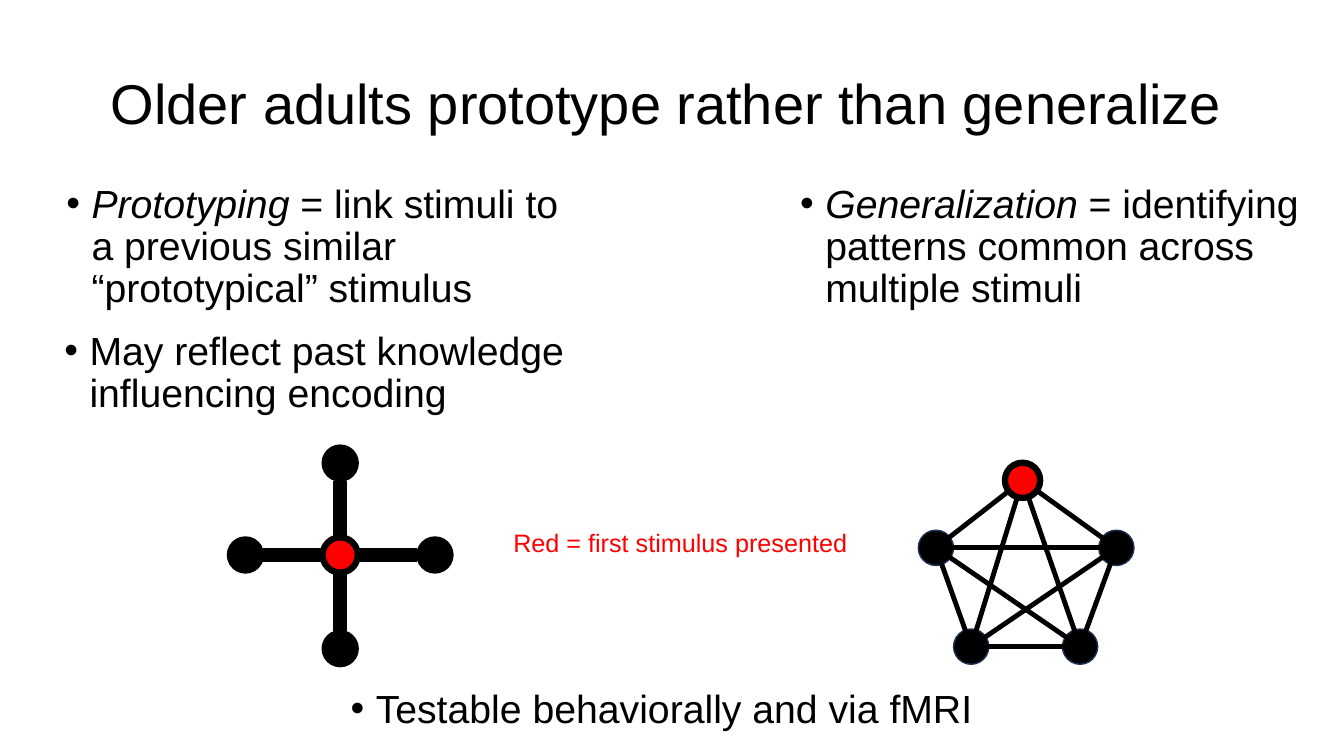
from dataclasses import dataclass
from itertools import combinations

import lxml.etree
import pptx
import pptx.dml.color
import pptx.enum.shapes
import pptx.enum.text
import pptx.oxml.ns
import pptx.slide
import pptx.text.text
import pptx.util

Pt = pptx.util.Pt
ALIGN = pptx.enum.text.PP_ALIGN
ANCHOR = pptx.enum.text.MSO_ANCHOR

BLACK = "000000"
RED = "FF0000"
NAVY = "1E3256"
DOT_SIZE = 25.2
RADIUS = DOT_SIZE / 2


@dataclass
class Point:
    x: float
    y: float


@dataclass
class Label:
    text: str
    left: float
    top: float
    width: float
    height: float
    size: float = 28
    color: str = BLACK
    term: str = ""  # italic lead-in
    bulleted: bool = True
    line_spacing: float = 0.9
    anchor: ANCHOR = ANCHOR.TOP


@dataclass
class DotStyle:
    fill: str
    outline: str
    outline_width: float


FIRST_STIMULUS = DotStyle(RED, BLACK, 4.5)
STAR_DOT = DotStyle(BLACK, BLACK, 1.5)
PENTAGON_DOT = DotStyle(BLACK, NAVY, 1)

LABELS = [
    Label("Older adults prototype rather than generalize", 40.3, 23.8, 870.5, 104.4,
          size=40, bulleted=False, anchor=ANCHOR.MIDDLE),
    Label(" = link stimuli to a previous similar “prototypical” stimulus",
          40.3, 128.2, 377.3, 162.7, term="Prototyping"),
    Label("Red = first stimulus presented", 354.2, 373, 263.5, 28.8,
          size=18, color=RED, bulleted=False, line_spacing=1.0),
    Label(" = identifying patterns common across multiple stimuli",
          564.5, 128.2, 377.3, 162.7, term="Generalization"),
    Label("May reflect past knowledge influencing encoding", 38.9, 233.3, 378.7, 71.3),
    Label("Testable behaviorally and via fMRI", 243.4, 488.9, 521.3, 51),
]

HUB = Point(243, 396.4)
SPOKE_ENDS = [Point(HUB.x, 330.8), Point(310.7, HUB.y),
              Point(HUB.x, 463.3), Point(175.3, HUB.y)]

APEX = Point(730.4, 343.1)
PENTAGON_BASE = [Point(797.4, 391.3), Point(771.5, 461.9),
                 Point(693.7, 461.9), Point(668.5, 391.3)]


def rgb(hex_color: str) -> pptx.dml.color.RGBColor:
    return pptx.dml.color.RGBColor.from_string(hex_color)


def add_bullet(paragraph: pptx.text.text._Paragraph) -> None:
    properties = paragraph._p.get_or_add_pPr()
    properties.set("marL", str(Pt(18)))
    properties.set("indent", str(-Pt(18)))
    qn = pptx.oxml.ns.qn
    lxml.etree.SubElement(properties, qn("a:buFont")).set("typeface", "Arial")
    lxml.etree.SubElement(properties, qn("a:buChar")).set("char", "•")


def add_label(slide: pptx.slide.Slide, label: Label) -> None:
    box = slide.shapes.add_textbox(
        Pt(label.left), Pt(label.top), Pt(label.width), Pt(label.height))
    frame = box.text_frame
    frame.word_wrap = True
    frame.vertical_anchor = label.anchor
    frame.text = label.term or label.text
    paragraph = frame.paragraphs[0]
    if label.bulleted:
        add_bullet(paragraph)
    paragraph.alignment = ALIGN.LEFT if label.bulleted else ALIGN.CENTER
    paragraph.line_spacing = label.line_spacing
    if label.term:
        paragraph.runs[0].font.italic = True
        paragraph.add_run().text = label.text
    for run in paragraph.runs:
        run.font.name = "Arial"
        run.font.size = Pt(label.size)
        run.font.color.rgb = rgb(label.color)


def add_dot(slide: pptx.slide.Slide, center: Point, style: DotStyle) -> None:
    dot = slide.shapes.add_shape(
        pptx.enum.shapes.MSO_SHAPE.OVAL, Pt(center.x - RADIUS), Pt(center.y - RADIUS),
        Pt(DOT_SIZE), Pt(DOT_SIZE))
    dot.shadow.inherit = False
    dot.fill.solid()
    dot.fill.fore_color.rgb = rgb(style.fill)
    dot.line.color.rgb = rgb(style.outline)
    dot.line.width = Pt(style.outline_width)


def add_link(slide: pptx.slide.Slide, start: Point, end: Point, width: float) -> None:
    link = slide.shapes.add_connector(
        pptx.enum.shapes.MSO_CONNECTOR.STRAIGHT,
        Pt(start.x), Pt(start.y), Pt(end.x), Pt(end.y))
    link.line.color.rgb = rgb(BLACK)
    link.line.width = Pt(width)
    lxml.etree.SubElement(link._element.spPr, pptx.oxml.ns.qn("a:effectLst"))


def toward(start: Point, end: Point) -> Point:
    """Return the point on the rim of the dot at start that faces end."""
    dx, dy = end.x - start.x, end.y - start.y
    share = RADIUS / (dx * dx + dy * dy) ** 0.5
    return Point(start.x + dx * share, start.y + dy * share)


def add_prototype_star(slide: pptx.slide.Slide) -> None:
    add_dot(slide, HUB, FIRST_STIMULUS)
    for end in SPOKE_ENDS:
        add_dot(slide, end, STAR_DOT)
        add_link(slide, toward(HUB, end), toward(end, HUB), 10)


def add_generalization_pentagon(slide: pptx.slide.Slide) -> None:
    for corner in PENTAGON_BASE:
        add_dot(slide, corner, PENTAGON_DOT)
    for start, end in combinations([APEX, *PENTAGON_BASE], 2):
        add_link(slide, start, end, 3.5)
    add_dot(slide, APEX, FIRST_STIMULUS)


def main() -> None:
    presentation = pptx.Presentation()
    presentation.slide_width = Pt(960)
    presentation.slide_height = Pt(540)
    slide = presentation.slides.add_slide(presentation.slide_layouts[6])
    for label in LABELS:
        add_label(slide, label)
    add_prototype_star(slide)
    add_generalization_pentagon(slide)
    presentation.save("out.pptx")


if __name__ == "__main__":
    main()
